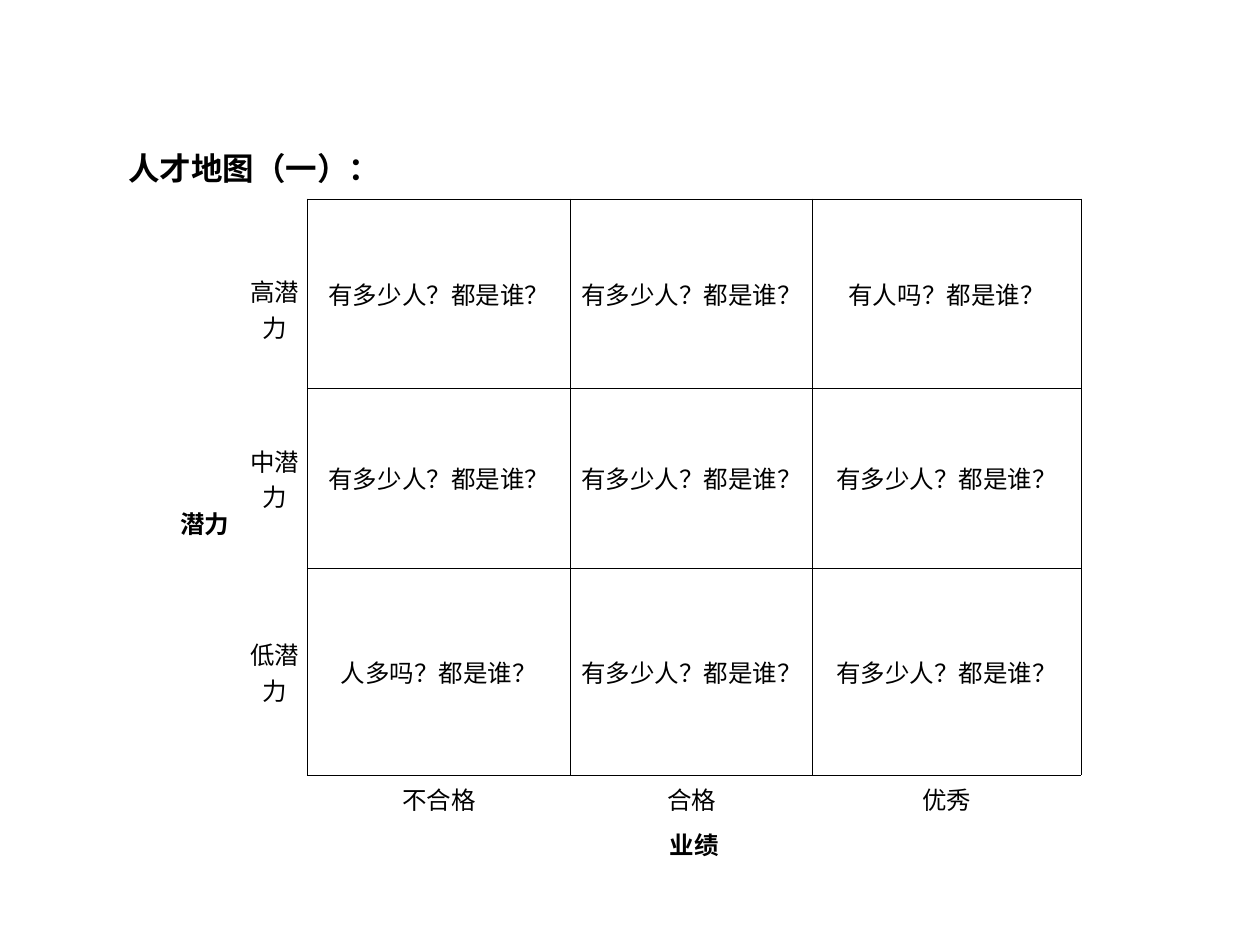
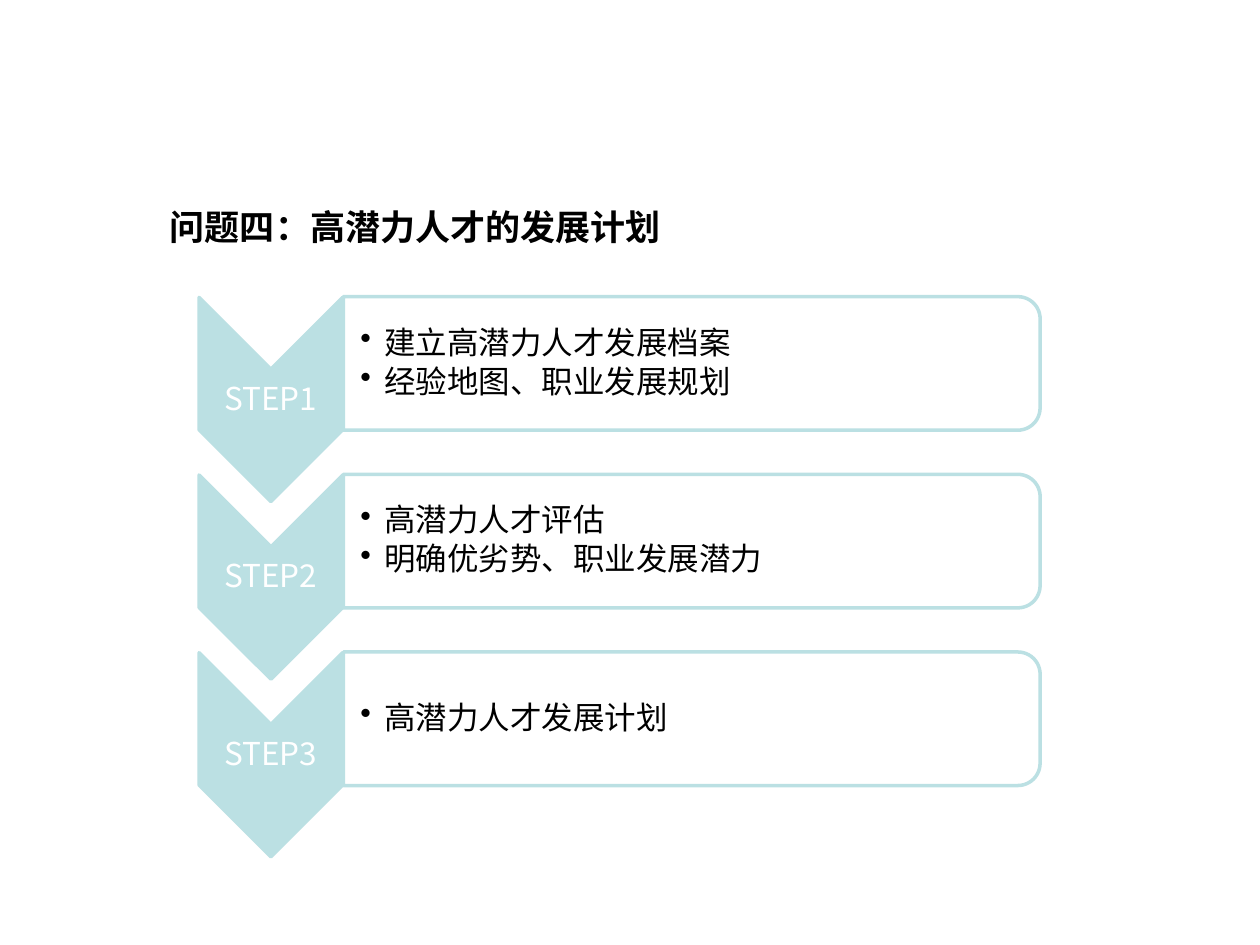
from lxml import etree
from pptx import Presentation
from pptx.dml.color import RGBColor
from pptx.enum.shapes import MSO_SHAPE
from pptx.enum.text import MSO_ANCHOR, PP_ALIGN
from pptx.oxml.ns import qn
from pptx.util import Inches, Pt

FONT = "Noto Sans CJK SC"
BLACK = RGBColor(0x00, 0x00, 0x00)
WHITE = RGBColor(0xFF, 0xFF, 0xFF)
AQUA = RGBColor(0xBB, 0xE0, 0xE3)
CENTER = PP_ALIGN.CENTER
MIDDLE, BOTTOM = MSO_ANCHOR.MIDDLE, MSO_ANCHOR.BOTTOM
CHEVRON, PANEL = MSO_SHAPE.CHEVRON, MSO_SHAPE.ROUND_2_SAME_RECTANGLE
MARGINS = ("margin_left", "margin_top", "margin_right", "margin_bottom")

prs = Presentation()
prs.slide_width, prs.slide_height = Inches(10), Inches(7.5)
W, H = prs.slide_width / 100, prs.slide_height / 100
blank = prs.slide_layouts[6]


def box(x, y, w, h):
    """Turn percentages of the slide into left, top, width, height."""
    return int(x * W), int(y * H), int(w * W), int(h * H)


def write(p, text, size, color=BLACK, bold=False, **para):
    """Fill a paragraph with one formatted run."""
    for name, value in para.items():
        setattr(p, name, value)
    r = p.add_run()
    r.text = text
    for name, value in {"name": FONT, "size": Pt(size), "bold": bold}.items():
        setattr(r.font, name, value)
    r.font.color.rgb = color
    etree.SubElement(r.font._element, qn("a:ea"), typeface=FONT)


# Slides and their titles
titles = [
    ("人才地图（一）：", 18, (9.2, 15.07, 31.7, 5.33)),
    ("问题四：高潜力人才的发展计划", 20, (12.5, 21.07, 64.2, 10.27)),
]
slides = []
for text, size, area in titles:
    s = prs.slides.add_slide(blank)
    tf = s.shapes.add_textbox(*box(*area)).text_frame
    tf.word_wrap = True
    write(tf.paragraphs[0], text, size, bold=True)
    slides.append(s)
map_slide, plan_slide = slides

# Talent map: potential by performance
COLS = [5.9, 5.2, 20.9, 19.2, 21.3]
ROWS = [3.2, 16.8, 19.07, 21.87, 4.4, 4.8]
WHO = "有多少人？都是谁？"
texts = {
    (0, 2): WHO, (0, 3): WHO, (0, 4): "有人吗？都是谁？",
    (1, 0): "潜力", (1, 1): "高潜力",
    (2, 1): "中潜力", (2, 2): WHO, (2, 3): WHO, (2, 4): WHO,
    (3, 1): "低潜力", (3, 2): "人多吗？都是谁？", (3, 3): WHO, (3, 4): WHO,
    (4, 2): "不合格", (4, 3): "合格", (4, 4): "优秀",
    (5, 2): "业绩",
}
axis_names = [(1, 0), (5, 2)]
matrix = {(row, col) for row in range(4) for col in (2, 3, 4)}
sides = {"L": (0, -1), "R": (0, 1), "T": (-1, 0), "B": (1, 0)}

area = box(13.3, 21.07, sum(COLS), sum(ROWS))
table = map_slide.shapes.add_table(len(ROWS), len(COLS), *area).table
table.first_row = table.horz_banding = False
for col, share in enumerate(COLS):
    table.columns[col].width = int(share * W)
for row, share in enumerate(ROWS):
    table.rows[row].height = int(share * H)
for col in (2, 3, 4):
    table.cell(0, col).merge(table.cell(1, col))
table.cell(1, 0).merge(table.cell(4, 0))
table.cell(5, 2).merge(table.cell(5, 4))

for row in range(len(ROWS)):
    for col in range(len(COLS)):
        cell = table.cell(row, col)
        for name in MARGINS:
            setattr(cell, name, 0)
        cell.vertical_anchor = BOTTOM if row > 3 else MIDDLE
        p = cell.text_frame.paragraphs[0]
        if (row, col) in texts:
            write(p, texts[row, col], 14, bold=(row, col) in axis_names,
                  alignment=CENTER)
        else:
            etree.SubElement(p._p, qn("a:endParaRPr"), sz="1000")
        tcPr = cell._tc.get_or_add_tcPr()
        if col < 2 and (row, col) in texts:
            tcPr.set("vert", "eaVert")
        # Lines surround every matrix cell, except inside the merged top row
        for side, (down, right) in sides.items():
            pair = {(row, col), (row + down, col + right)}
            merged = pair == {(0, col), (1, col)}
            ln = etree.SubElement(tcPr, qn("a:ln" + side), w=str(Pt(0.5)))
            if pair & matrix and not merged:
                fill = etree.SubElement(ln, qn("a:solidFill"))
                etree.SubElement(fill, qn("a:srgbClr"), val=str(BLACK))
            else:
                etree.SubElement(ln, qn("a:noFill"))
        cell.fill.background()

# Development plan: three steps at an equal pitch
PITCH = 18.8
steps = [
    ["建立高潜力人才发展档案", "经验地图、职业发展规划"],
    ["高潜力人才评估", "明确优劣势、职业发展潜力"],
    ["高潜力人才发展计划"],
]
for i, points in enumerate(steps):
    dy = i * PITCH

    # Chevron and panel, both turned a quarter
    for kind, color, (x, y, w, h) in (
        (CHEVRON, AQUA, (13.4, 34.67, 16.2, 15.2)),
        (PANEL, WHITE, (49.6, 1.6, 10.6, 73.73)),
    ):
        sp = plan_slide.shapes.add_shape(kind, *box(x, y + dy, w, h))
        sp.rotation = 90
        sp.shadow.inherit = False
        sp.fill.solid()
        sp.fill.fore_color.rgb = color
        sp.line.color.rgb = AQUA
        sp.line.width = Pt(2)
    clr = sp._element.spPr.find(qn("a:solidFill")).find(qn("a:srgbClr"))
    etree.SubElement(clr, qn("a:alpha"), val="90000")

    # Step label and bullet frames
    frames = []
    for x, y, w, h, left in (
        (15.8, 39.07, 11.4, 6.53, 0.01),
        (27.2, 32.13, 54.8, 12.67, 0.14),
    ):
        tf = plan_slide.shapes.add_textbox(*box(x, y + dy, w, h)).text_frame
        tf.word_wrap = True
        tf.vertical_anchor = MIDDLE
        for name in MARGINS:
            setattr(tf, name, Inches(0.01))
        tf.margin_left = Inches(left)
        frames.append(tf)
    label, body = frames

    write(label.paragraphs[0], f"STEP{i + 1}", 18, WHITE, alignment=CENTER,
          line_spacing=0.9, space_after=Pt(6.3))
    for n, point in enumerate(points):
        p = body.add_paragraph() if n else body.paragraphs[0]
        write(p, point, 18, level=1, line_spacing=0.9, space_after=Pt(2.7))
        pPr = p._p.get_or_add_pPr()
        pPr.set("marL", str(Inches(0.19)))
        pPr.set("indent", str(-Inches(0.19)))
        etree.SubElement(pPr, qn("a:buChar"), char="•")

prs.save("out.pptx")
